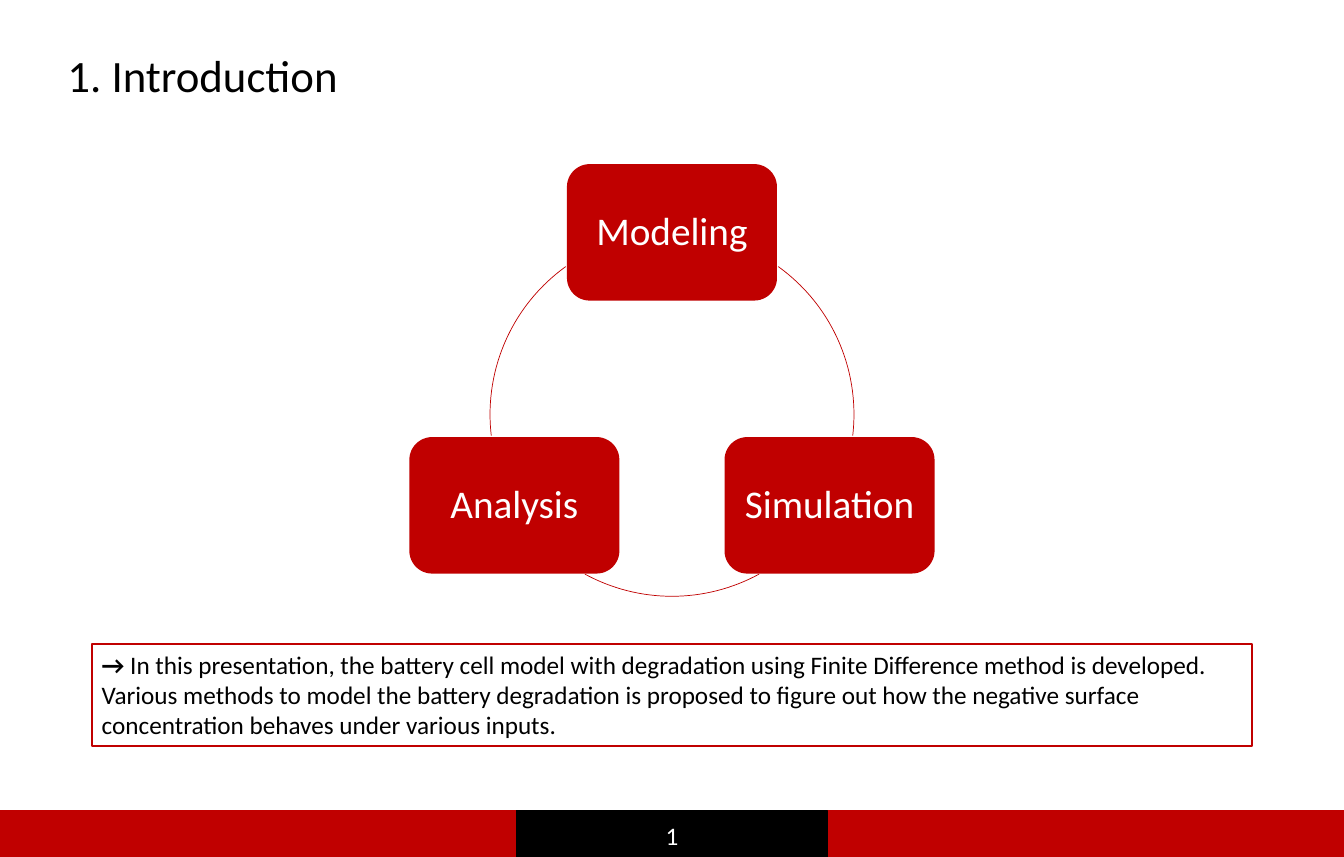
"""Build the introduction slide: a three-step cycle, a note and a footer."""
from math import cos, radians, sin

from lxml.etree import SubElement
from pptx import Presentation
from pptx.dml.color import RGBColor
from pptx.enum.shapes import MSO_SHAPE
from pptx.enum.text import MSO_ANCHOR, PP_ALIGN
from pptx.oxml.ns import qn
from pptx.util import Inches, Pt

SLIDE_WIDTH = Inches(13.33)
SLIDE_HEIGHT = Inches(8.5)
COLUMN = SLIDE_WIDTH / 100
ROW = SLIDE_HEIGHT / 100

RED = RGBColor(0xC0, 0x00, 0x00)
BLACK = RGBColor(0x00, 0x00, 0x00)
WHITE = RGBColor(0xFF, 0xFF, 0xFF)
FONT = "Calibri"

CYCLE_CENTER = (50, 48.35)
CYCLE_SIZE = (27.08, 42.47)
NODE_SIZE = (15.63, 15.93)
STEPS = {"Modeling": 270, "Simulation": 30, "Analysis": 150}
ARCS = [(305.7, 6.7), (61.4, 118.6), (173.3, 234.3)]

NOTE = (
    "In this presentation, the battery cell model with degradation using "
    "Finite Difference method is developed. Various methods to model the "
    "battery degradation is proposed to figure out how the negative surface "
    "concentration behaves under various inputs."
)


def place(left, top, width, height):
    """Turn columns and rows of the grid into slide lengths."""
    return (round(left * COLUMN), round(top * ROW),
            round(width * COLUMN), round(height * ROW))


def centered(center, size):
    """Return the grid box of the given size around a center."""
    return (center[0] - size[0] / 2, center[1] - size[1] / 2, *size)


def add_shape(slide, kind, box, fill=None, line=None, line_width=1):
    """Add a flat preset shape with an optional fill and outline."""
    shape = slide.shapes.add_shape(kind, *place(*box))
    shape.shadow.inherit = False
    if fill is None:
        shape.fill.background()
    else:
        shape.fill.solid()
        shape.fill.fore_color.rgb = fill
    if line is None:
        shape.line.fill.background()
    else:
        shape.line.color.rgb = line
        shape.line.width = Pt(line_width)
    return shape


def format_text(shape, size, color, alignment=PP_ALIGN.LEFT,
                anchor=MSO_ANCHOR.MIDDLE, line_spacing=1):
    """Format all the text of a shape alike."""
    text_frame = shape.text_frame
    text_frame.word_wrap = True
    text_frame.vertical_anchor = anchor
    for paragraph in text_frame.paragraphs:
        paragraph.alignment = alignment
        paragraph.line_spacing = line_spacing
        for run in paragraph.runs:
            run.font.name = FONT
            run.font.size = Pt(size)
            run.font.color.rgb = color


def add_title(slide, text):
    """Add the slide title."""
    title = slide.shapes.add_textbox(*place(4.28, 1.76, 67.52, 14.71))
    title.text_frame.text = text
    format_text(title, 32, BLACK, line_spacing=0.9)


def add_arc(slide, start, end):
    """Add a piece of the cycle's circle between two clockwise angles."""
    box = centered(CYCLE_CENTER, CYCLE_SIZE)
    arc = add_shape(slide, MSO_SHAPE.ARC, box, line=RED, line_width=0.5)
    arc.adjustments[0] = start * 0.6
    arc.adjustments[1] = end * 0.6


def add_step(slide, text, angle):
    """Add a step of the cycle, centered on the circle at an angle."""
    center = (
        CYCLE_CENTER[0] + CYCLE_SIZE[0] / 2 * cos(radians(angle)),
        CYCLE_CENTER[1] + CYCLE_SIZE[1] / 2 * sin(radians(angle)),
    )
    step = add_shape(slide, MSO_SHAPE.ROUNDED_RECTANGLE,
                     centered(center, NODE_SIZE), fill=RED)
    step.text_frame.text = text
    format_text(step, 28, WHITE, PP_ALIGN.CENTER, line_spacing=0.9)
    step.text_frame.margin_left = step.text_frame.margin_right = Inches(0.08)


def add_note(slide, text):
    """Add the outlined note, led by a bold arrow."""
    note = add_shape(slide, MSO_SHAPE.RECTANGLE, (6.83, 75.18, 86.35, 11.88),
                     line=RED, line_width=1.5)
    paragraph = note.text_frame.paragraphs[0]
    arrow = paragraph.add_run()
    arrow.text = "→ "
    arrow.font.bold = True
    paragraph.add_run().text = text
    format_text(note, 18, BLACK, anchor=MSO_ANCHOR.TOP)


def add_footer(slide):
    """Add the footer bar and its page number field."""
    add_shape(slide, MSO_SHAPE.RECTANGLE, (-0.15, 94.59, 100.3, 5.65), RED, RED)
    page = add_shape(slide, MSO_SHAPE.RECTANGLE, (38.45, 94.59, 23.1, 5.88),
                     BLACK, BLACK)
    page.text_frame.text = "1"
    format_text(page, 18, WHITE, PP_ALIGN.CENTER)
    run = page.text_frame.paragraphs[0].runs[0]
    properties = run.font._element
    element = properties.getparent()
    paragraph = element.getparent()
    field = SubElement(paragraph, qn("a:fld"), type="slidenum",
                       id="{B6F15528-21DE-4FAA-801E-634DDDAF4B2B}")
    field.extend(list(element))
    paragraph.remove(element)


def main():
    """Build and save the slide."""
    presentation = Presentation()
    presentation.slide_width = SLIDE_WIDTH
    presentation.slide_height = SLIDE_HEIGHT
    slide = presentation.slides.add_slide(presentation.slide_layouts[6])
    add_title(slide, "1. Introduction")
    for start, end in ARCS:
        add_arc(slide, start, end)
    for text, angle in STEPS.items():
        add_step(slide, text, angle)
    add_note(slide, NOTE)
    add_footer(slide)
    presentation.save("out.pptx")


if __name__ == "__main__":
    main()
